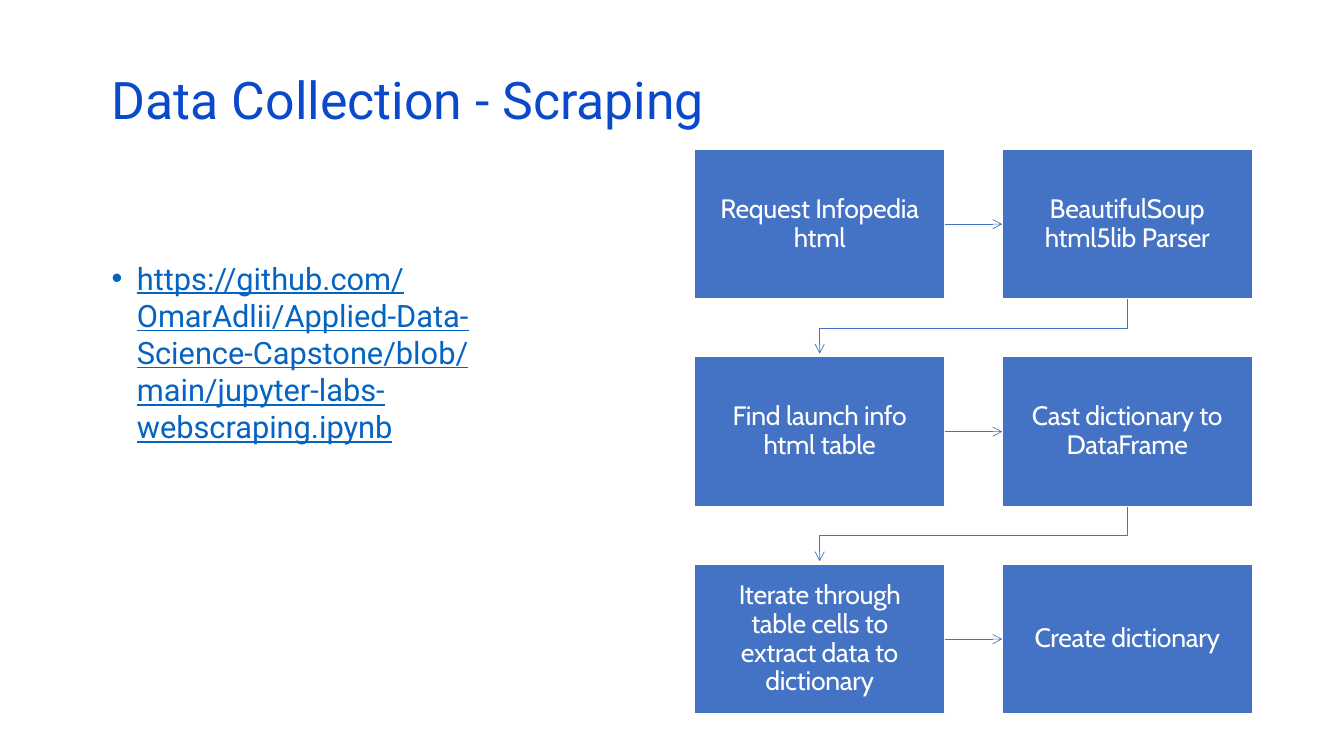
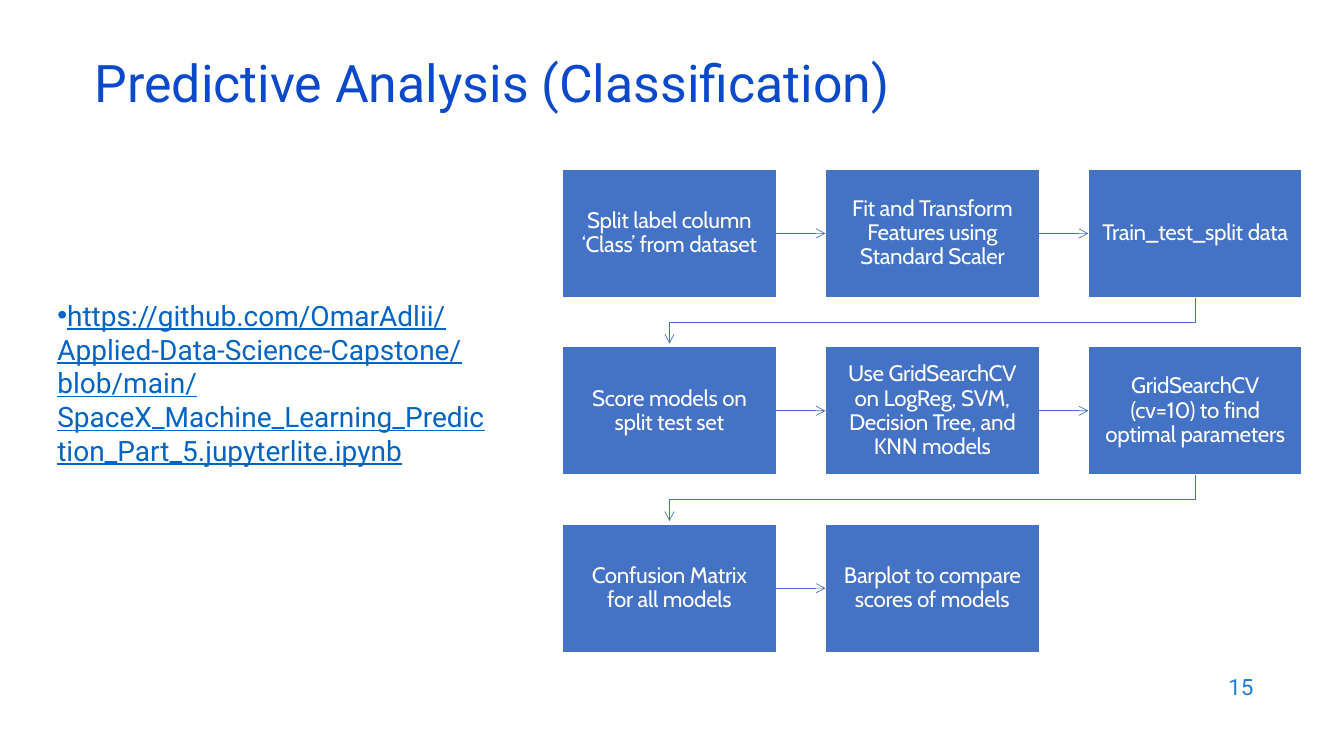
from itertools import pairwise

import pptx
import pptx.dml.color
import pptx.enum.shapes
import pptx.enum.text
import pptx.oxml
import pptx.oxml.ns
import pptx.util
from lxml import etree

Inches, Pt = pptx.util.Inches, pptx.util.Pt
qn = pptx.oxml.ns.qn
ALIGN = pptx.enum.text.PP_ALIGN
ANCHOR = pptx.enum.text.MSO_ANCHOR

THEME = {
    "title": {"font": "Roboto", "size": 37, "color": "0B49CB"},
    "link": {"font": "Roboto", "color": "0563C1"},
    "page": {"font": "Roboto", "size": 16, "color": "1C7DDB"},
    "step": {"font": "Cabin", "color": "FFFFFF"},
    "box": "4472C4",
    "outline": "FFFFFF",
}
SLIDE_SIZE = (13.33, 7.5)
TITLE_SIZE = (11.5, 0.6)
PAGE_AREA = (9.53, 6.59, 3, 0.44)
# Flow proportions, as shares of a box's width
BOX_HEIGHT, BOX_GAP = 0.6, 0.23
ARROW_CLEARANCE = 0.03

# A bar in a step label marks a line break.
SLIDES = [
    {
        "title": "Data Collection - Scraping",
        "title_at": (1.01, 0.76),
        "link": "https://github.com/OmarAdlii/Applied-Data-Science-Capstone/"
                "blob/main/jupyter-labs-webscraping.ipynb",
        "link_area": (1.01, 2.52, 4.3, 3.6),
        "link_size": 22, "link_leading": 26.6, "link_indent": 0.25,
        "flow_at": (6.89, 1.48), "box_width": 2.48, "columns": 2,
        "step_size": 19,
        "steps": [
            "Request Infopedia|html",
            "BeautifulSoup|html5lib Parser",
            "Find launch info|html table",
            "Cast dictionary to|DataFrame",
            "Iterate through|table cells to|extract data to|dictionary",
            "Create dictionary",
        ],
    },
    {
        "title": "Predictive Analysis (Classification)",
        "title_at": (0.84, 0.59),
        "link": "https://github.com/OmarAdlii/Applied-Data-Science-Capstone/"
                "blob/main/SpaceX_Machine_Learning_Prediction_Part_5"
                ".jupyterlite.ipynb",
        "link_area": (0.47, 2.91, 4.52, 1.97),
        "link_size": 20, "link_leading": 24.1, "link_indent": 0,
        "flow_at": (5.58, 1.68), "box_width": 2.12, "columns": 3,
        "step_size": 16,
        "steps": [
            "Split label column|‘Class’ from dataset",
            "Fit and Transform|Features using|Standard Scaler",
            "Train_test_split data",
            "Score models on|split test set",
            "Use GridSearchCV|on LogReg, SVM,|Decision Tree, and|KNN models",
            "GridSearchCV|(cv=10) to find|optimal parameters",
            "Confusion Matrix|for all models",
            "Barplot to compare|scores of models",
        ],
        "page": "15",
    },
]


def rgb(value):
    return pptx.dml.color.RGBColor.from_string(value)


def style(paragraph, look, size=None):
    font = paragraph.font
    font.name = look["font"]
    font.size = Pt(size or look["size"])
    font.color.rgb = rgb(look["color"])


def add_title(slide, text, at):
    title = slide.shapes.title
    title.left, title.top, title.width, title.height = map(
        Inches, at + TITLE_SIZE)
    frame = title.text_frame
    frame.text = text
    frame.vertical_anchor = ANCHOR.MIDDLE
    paragraph = frame.paragraphs[0]
    paragraph.alignment = ALIGN.LEFT
    paragraph.line_spacing = 0.7
    style(paragraph, THEME["title"])


def add_text(slide, text, area):
    frame = slide.shapes.add_textbox(*map(Inches, area)).text_frame
    frame.word_wrap = True
    frame.text = text
    return frame


def add_link(slide, content):
    frame = add_text(slide, content["link"], content["link_area"])
    paragraph = frame.paragraphs[0]
    paragraph.line_spacing = Pt(content["link_leading"])
    properties = paragraph._p.get_or_add_pPr()
    indent = Inches(content["link_indent"])
    properties.set("marL", str(indent))
    properties.set("indent", str(-indent))
    etree.SubElement(properties, qn("a:buFont"), typeface="Arial")
    etree.SubElement(properties, qn("a:buChar"), char="•")
    style(paragraph, THEME["link"], content["link_size"])
    paragraph.font.underline = True


def add_page_number(slide, number):
    frame = add_text(slide, number, PAGE_AREA)
    frame.vertical_anchor = ANCHOR.MIDDLE
    paragraph = frame.paragraphs[0]
    paragraph.alignment = ALIGN.RIGHT
    style(paragraph, THEME["page"])


def add_step(slide, label, area, size):
    box = slide.shapes.add_shape(
        pptx.enum.shapes.MSO_SHAPE.RECTANGLE, *area)
    box.shadow.inherit = False
    box.fill.solid()
    box.fill.fore_color.rgb = rgb(THEME["box"])
    box.line.color.rgb = rgb(THEME["outline"])
    box.line.width = Pt(1)
    frame = box.text_frame
    frame.word_wrap = False
    frame.vertical_anchor = ANCHOR.MIDDLE
    paragraph = frame.paragraphs[0]
    paragraph.alignment = ALIGN.CENTER
    paragraph.line_spacing = 0.9
    for index, line in enumerate(label.split("|")):
        if index:
            paragraph.add_line_break()
        run = paragraph.add_run()
        run.text = line
        run._r.get_or_add_rPr().set("spc", "-20")
    style(paragraph, THEME["step"], size)
    return box


def format_arrow(arrow):
    arrow.line.color.rgb = rgb(THEME["box"])
    arrow.line.width = Pt(0.5)
    outline = arrow._element.spPr.find(qn("a:ln"))
    etree.SubElement(outline, qn("a:tailEnd"), type="arrow")


def link_in_row(slide, source, target):
    arrow = slide.shapes.add_connector(
        pptx.enum.shapes.MSO_CONNECTOR.STRAIGHT, 0, 0, 0, 0)
    arrow.begin_connect(source, 3)
    arrow.end_connect(target, 1)
    format_arrow(arrow)
    etree.SubElement(arrow._element.spPr, qn("a:effectLst"))


def link_to_next_row(slide, source, target):
    """Draw an arrow from the last box of a row to the first of the next."""
    start_x = source.left + source.width // 2
    end_x = target.left + target.width // 2
    bottom = source.top + source.height
    middle = (bottom + target.top) // 2
    path_builder = slide.shapes.build_freeform(start_x, bottom)
    path_builder.add_line_segments(
        [(start_x, middle), (end_x, middle),
         (end_x, target.top - Inches(ARROW_CLEARANCE))], close=False)
    arrow = path_builder.convert_to_shape()
    arrow.fill.background()
    arrow.shadow.inherit = False
    format_arrow(arrow)


def add_flow(slide, content):
    left, top = content["flow_at"]
    width = content["box_width"]
    height, gap = width * BOX_HEIGHT, width * BOX_GAP
    boxes = []
    for index, label in enumerate(content["steps"]):
        row, column = divmod(index, content["columns"])
        area = (left + column * (width + gap), top + row * (height + gap),
                width, height)
        boxes.append(add_step(slide, label, map(Inches, area),
                              content["step_size"]))
    for source, target in pairwise(boxes):
        same_row = source.top == target.top
        (link_in_row if same_row else link_to_next_row)(slide, source, target)


def main():
    deck = pptx.Presentation()
    deck.slide_width, deck.slide_height = map(Inches, SLIDE_SIZE)
    for content in SLIDES:
        slide = deck.slides.add_slide(
            deck.slide_layouts.get_by_name("Title Only"))
        add_title(slide, content["title"], content["title_at"])
        add_link(slide, content)
        add_flow(slide, content)
        if "page" in content:
            add_page_number(slide, content["page"])
    deck.save("out.pptx")


if __name__ == "__main__":
    main()
